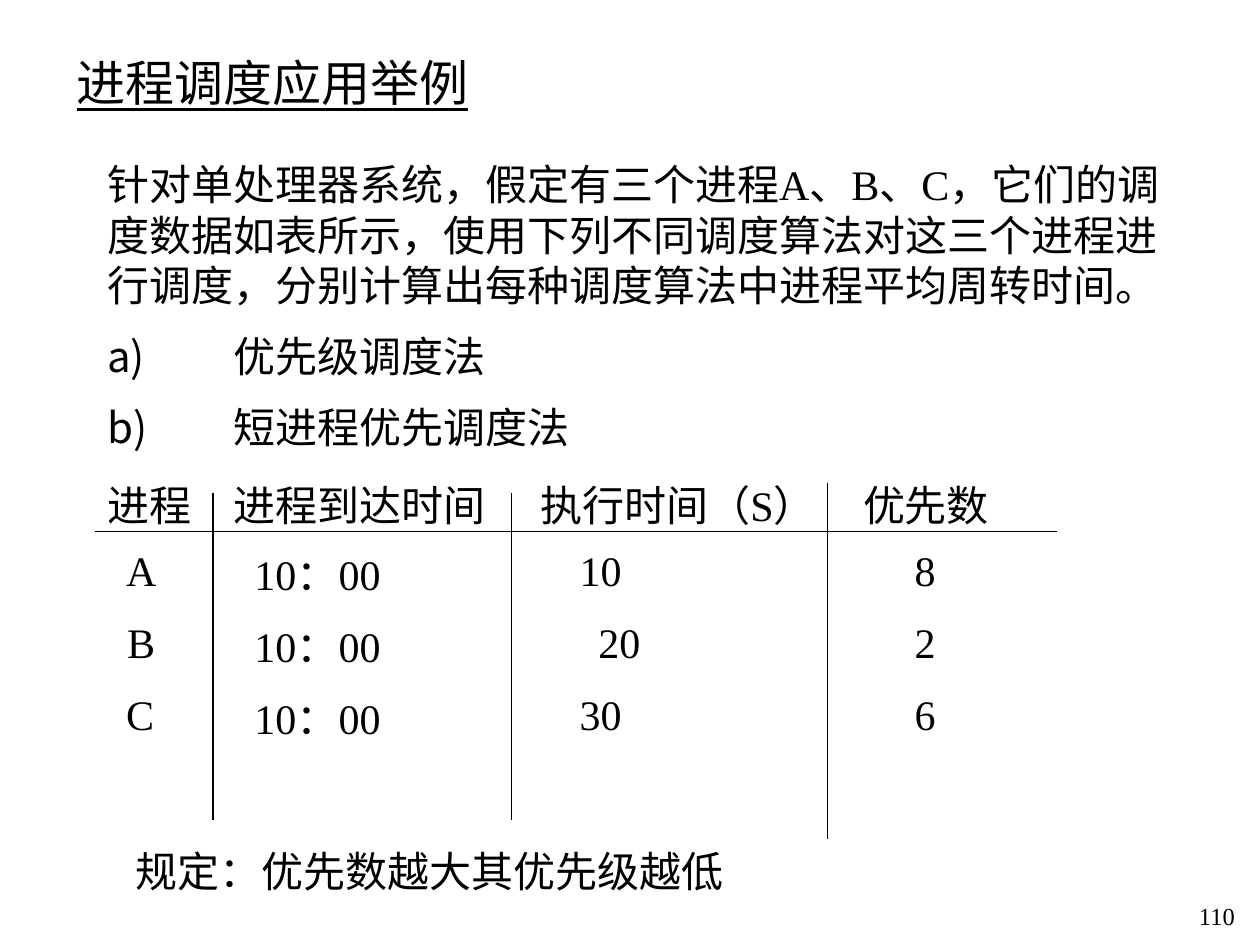
import lxml.etree
import pptx
import pptx.dml.color
import pptx.enum.shapes
import pptx.enum.text
import pptx.oxml.ns
import pptx.util

Inches = pptx.util.Inches
Pt = pptx.util.Pt
qn = pptx.oxml.ns.qn
align = pptx.enum.text.PP_ALIGN
anchor = pptx.enum.text.MSO_ANCHOR

theme = {
    "font": "Times New Roman",
    "ink": pptx.dml.color.RGBColor.from_string("000000"),
    "title": Pt(28),
    "body": Pt(24),
    "number": Pt(14),
    "gap": Pt(11.7),
    "rule": Pt(0.75),
}


def set_values(target, values):
    for name, value in values.items():
        setattr(target, name, value)


def write_text(frame, lines, size, alignment=align.LEFT, underline=False, numbered_from=None):
    frame.word_wrap = True
    for index, line in enumerate(lines):
        paragraph = frame.paragraphs[0] if index == 0 else frame.add_paragraph()
        set_values(paragraph, {"alignment": alignment, "space_before": theme["gap"] if index else Pt(0)})
        run = paragraph.add_run()
        run.text = line
        set_values(run.font, {"name": theme["font"], "size": size, "underline": underline})
        run.font.color.rgb = theme["ink"]
        numbered = numbered_from is not None and index >= numbered_from
        hanging = Inches(1) if numbered else 0
        properties = paragraph._p.get_or_add_pPr()
        properties.set("marL", str(hanging))
        properties.set("indent", str(-hanging))
        if numbered:
            lxml.etree.SubElement(properties, qn("a:buFont"), typeface=theme["font"])
            lxml.etree.SubElement(properties, qn("a:buAutoNum"), type="alphaLcParenR")
        else:
            lxml.etree.SubElement(properties, qn("a:buNone"))


presentation = pptx.Presentation()
set_values(presentation, {"slide_width": Inches(10), "slide_height": Inches(7.5)})
slide = presentation.slides.add_slide(presentation.slide_layouts[1])
shapes = slide.shapes

problem_lines = [
    "针对单处理器系统，假定有三个进程A、B、C，它们的调度数据如表所示，"
    "使用下列不同调度算法对这三个进程进行调度，分别计算出每种调度算法中进程平均周转时间。",
    "优先级调度法",
    "短进程优先调度法",
]
text_blocks = [
    (shapes.title, (0.51, 0.37, 5.9, 0.57), ["进程调度应用举例"],
     {"size": theme["title"], "underline": True}),
    (slide.placeholders[1], (0.75, 1.21, 8.82, 2.45), problem_lines,
     {"size": theme["body"], "numbered_from": 1}),
    (shapes.add_textbox(0, 0, 0, 0), (0.98, 6.66, 8.11, 0.5), ["规定：优先数越大其优先级越低"],
     {"size": theme["body"]}),
    (shapes.add_textbox(0, 0, 0, 0), (9.36, 7.1, 0.54, 0.4), ["110"],
     {"size": theme["number"], "alignment": align.RIGHT}),
]
for shape, box, lines, text_format in text_blocks:
    set_values(shape, dict(zip(("left", "top", "width", "height"), map(Inches, box))))
    set_values(shape.text_frame, {
        "auto_size": pptx.enum.text.MSO_AUTO_SIZE.NONE,
        "vertical_anchor": anchor.TOP,
    })
    write_text(shape.text_frame, lines, **text_format)

process_rows = [
    ("进程", "进程到达时间", "执行时间（S）", "优先数"),
    ("A", "10：00", "10", "8"),
    ("B", "10：00", "20", "2"),
    ("C", "10：00", "30", "6"),
]
column_widths = (0.94, 2.37, 2.69, 1.64)
header_insets = (0.1, 0.16, 0.23, 0.1)
data_insets = (0.25, 0.33, 0.54, 0.51)
shifted_insets = (0.26, 0.33, 0.69, 0.51)
row_insets = (header_insets, data_insets, shifted_insets, data_insets)
row_heights = (0.54, 0.57, 0.57, 0.57)

table = shapes.add_table(4, 4, Inches(0.75), Inches(3.72),
                         Inches(sum(column_widths)), Inches(sum(row_heights))).table
set_values(table, {"first_row": False, "horz_banding": False})
for column, width in zip(table.columns, column_widths):
    column.width = Inches(width)
for row, height, values, insets in zip(table.rows, row_heights, process_rows, row_insets):
    row.height = Inches(height)
    for cell, value, inset in zip(row.cells, values, insets):
        cell.fill.background()
        set_values(cell, {
            "margin_left": Inches(inset),
            "margin_right": 0,
            "margin_top": 0,
            "margin_bottom": 0,
            "vertical_anchor": anchor.MIDDLE,
        })
        write_text(cell.text_frame, [value], theme["body"])

table_rules = [
    (0.75, 4.22, 8.39, 4.22),
    (1.69, 3.91, 1.69, 6.51),
    (4.06, 3.91, 4.06, 6.51),
    (6.57, 3.83, 6.57, 6.66),
]
for ends in table_rules:
    rule = shapes.add_connector(pptx.enum.shapes.MSO_CONNECTOR.STRAIGHT, *map(Inches, ends))
    rule.line.color.rgb = theme["ink"]
    rule.line.width = theme["rule"]
    lxml.etree.SubElement(rule._element.spPr, qn("a:effectLst"))

presentation.save("out.pptx")
